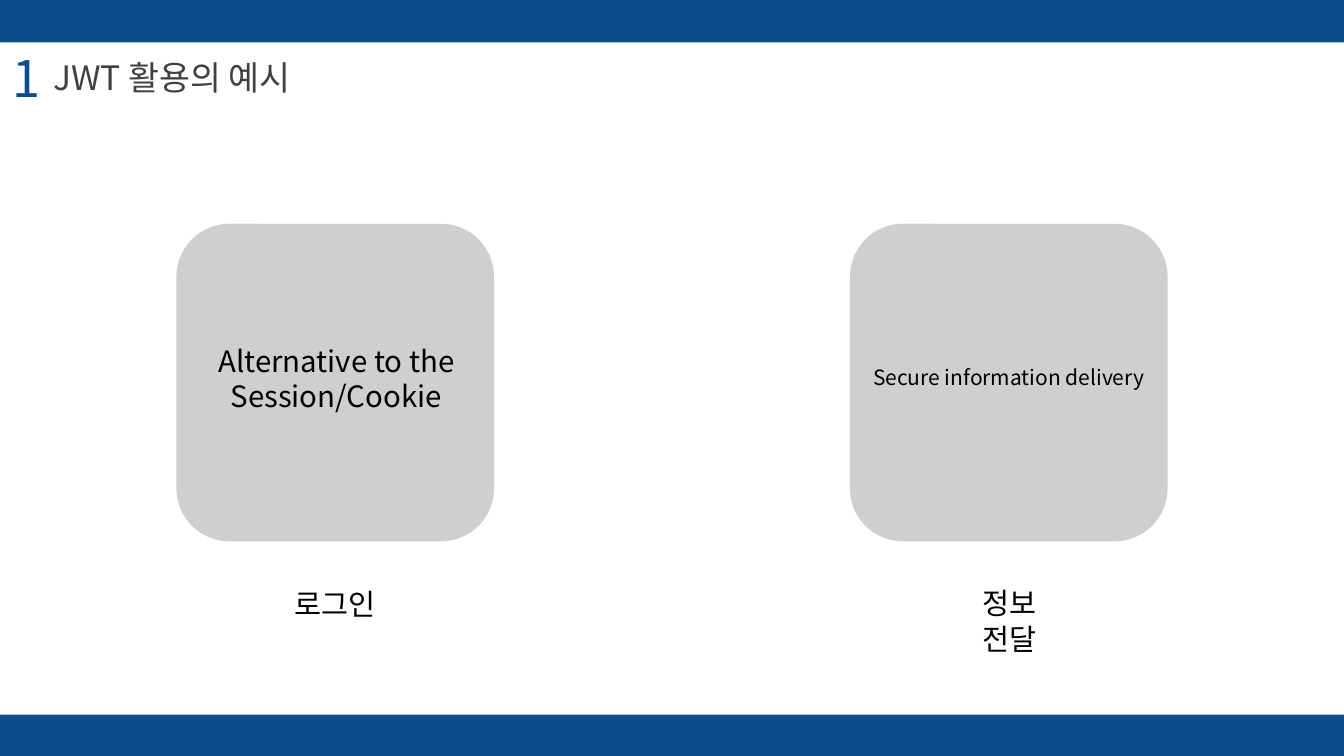
from dataclasses import dataclass

from lxml.etree import SubElement
from pptx import Presentation
from pptx.dml.color import RGBColor
from pptx.enum.shapes import MSO_SHAPE
from pptx.enum.text import MSO_AUTO_SIZE, PP_ALIGN
from pptx.oxml.ns import qn
from pptx.slide import Slide
from pptx.util import Inches, Pt


@dataclass(frozen=True)
class Theme:
    """Colours, font and type sizes of the slide."""
    navy: str = "0C4C8A"
    gray: str = "404040"
    card: str = "D0CECE"
    black: str = "000000"
    font: str = "Noto Sans CJK KR"
    number: int = 36
    title: int = 24
    body: int = 21
    small: int = 15
    line_height: float = 1.2


@dataclass(frozen=True)
class Box:
    """Left, top, width and height in inches."""
    left: float
    top: float
    width: float
    height: float

    def lengths(self) -> tuple:
        """Return the four measures as lengths."""
        return tuple(map(Inches, (self.left, self.top, self.width, self.height)))


@dataclass(frozen=True)
class Label:
    """Lines of text in one style."""
    box: Box
    lines: tuple[str, ...]
    size: int
    color: str
    align: PP_ALIGN = PP_ALIGN.CENTER
    wrap: bool = False
    tracking: float = 0


THEME = Theme()
CARD_TOP, CARD_SIZE = 2.22, 3.15

BARS = (Box(0, 7.09, 13.33, 0.41), Box(0, -0.01, 13.34, 0.43))
CARDS = tuple(Box(left, CARD_TOP, CARD_SIZE, CARD_SIZE) for left in (1.75, 8.43))
LABELS = (
    Label(Box(0.03, 0.42, 0.49, 0.71), ("1",), THEME.number, THEME.navy,
          PP_ALIGN.LEFT, tracking=-1.5),
    Label(Box(0.43, 0.52, 2.68, 0.5), ("JWT 활용의 예시",), THEME.title, THEME.gray,
          PP_ALIGN.LEFT),
    Label(Box(2.82, 5.77, 1.01, 0.45), ("로그인",), THEME.body, THEME.black),
    Label(Box(9.56, 5.76, 0.9, 0.81), ("정보 전달",), THEME.body, THEME.black, wrap=True),
    Label(Box(1.94, 3.35, 2.79, 0.81), ("Alternative to the", "Session/Cookie"),
          THEME.body, THEME.black),
    Label(Box(8.48, 3.57, 3.05, 0.35), ("Secure information delivery",),
          THEME.small, THEME.black),
)


def add_block(slide: Slide, kind: MSO_SHAPE, box: Box, color: str) -> None:
    """Add a plain filled shape."""
    shape = slide.shapes.add_shape(kind, *box.lengths())
    shape.shadow.inherit = False
    shape.fill.solid()
    shape.fill.fore_color.rgb = RGBColor.from_string(color)
    shape.line.fill.background()


def add_label(slide: Slide, label: Label) -> None:
    """Add a text box with one paragraph for each line."""
    frame = slide.shapes.add_textbox(*label.box.lengths()).text_frame
    frame.word_wrap = label.wrap
    frame.auto_size = MSO_AUTO_SIZE.SHAPE_TO_FIT_TEXT
    for index, line in enumerate(label.lines):
        paragraph = frame.add_paragraph() if index else frame.paragraphs[0]
        paragraph.alignment = label.align
        paragraph.line_spacing = Pt(label.size * THEME.line_height)
        run = paragraph.add_run()
        run.text = line
        run.font.size = Pt(label.size)
        run.font.name = THEME.font
        run.font.color.rgb = RGBColor.from_string(label.color)
        properties = run.font._element if hasattr(run.font, "_element") else run._r.get_or_add_rPr()
        SubElement(properties, qn("a:ea")).set("typeface", THEME.font)
        if label.tracking:
            properties.set("spc", str(int(label.tracking * 100)))


def main() -> None:
    """Build and save the slide."""
    presentation = Presentation()
    presentation.slide_width = Inches(13.33)
    presentation.slide_height = Inches(7.5)
    slide = presentation.slides.add_slide(presentation.slide_layouts[6])
    for bar in BARS:
        add_block(slide, MSO_SHAPE.RECTANGLE, bar, THEME.navy)
    for card in CARDS:
        add_block(slide, MSO_SHAPE.ROUNDED_RECTANGLE, card, THEME.card)
    for label in LABELS:
        add_label(slide, label)
    presentation.save("out.pptx")


main()
